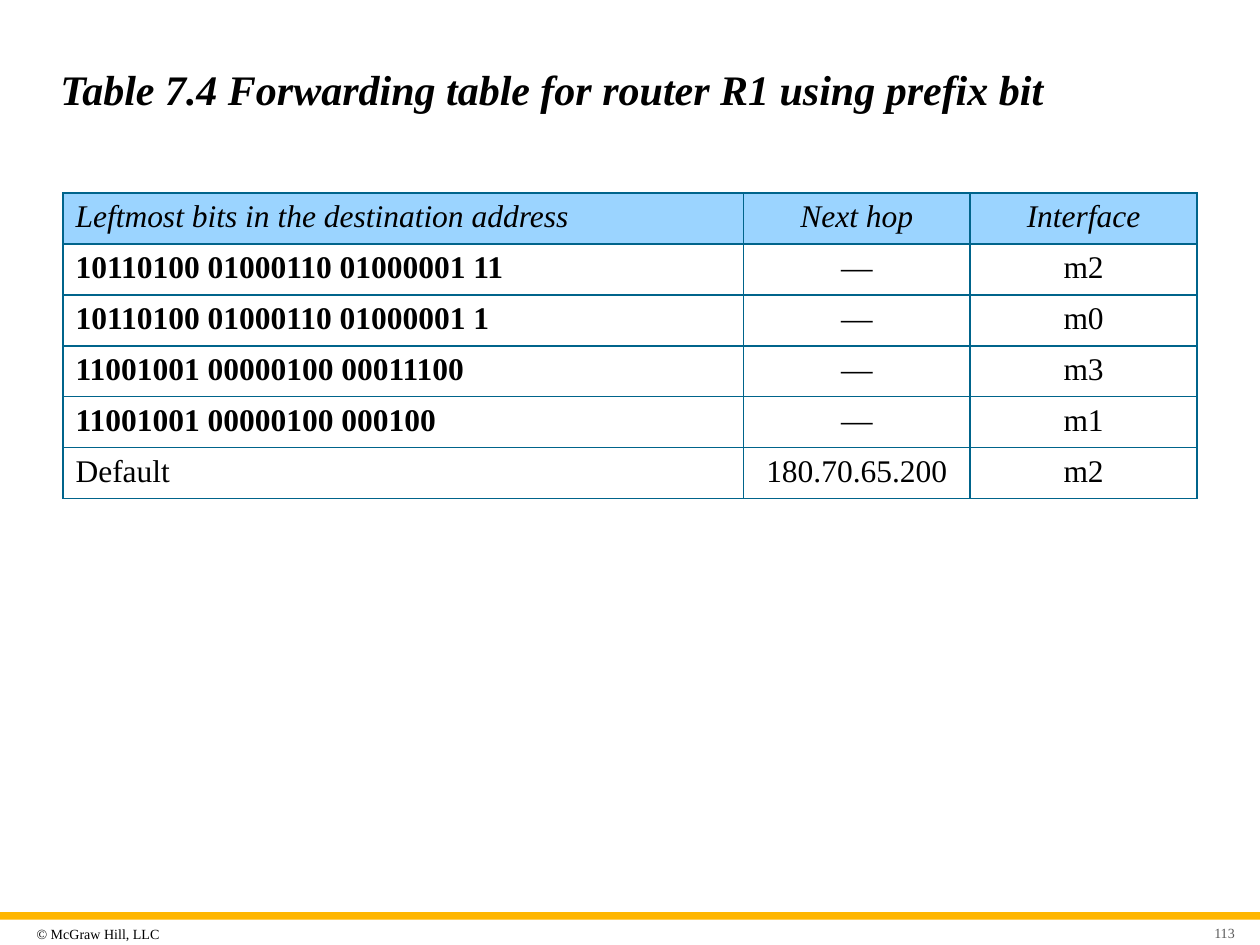
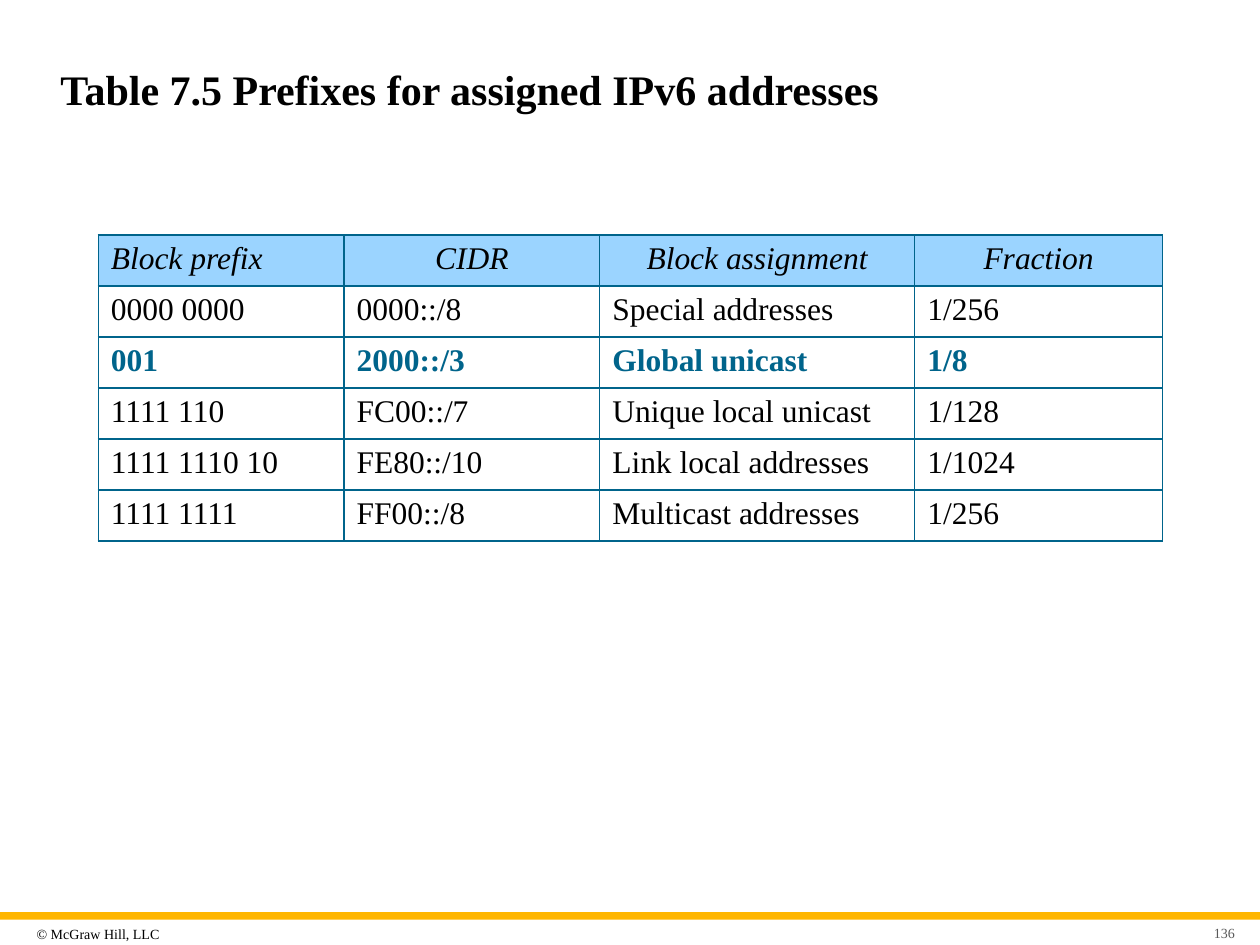
from lxml import etree
from pptx import Presentation
from pptx.dml.color import RGBColor
from pptx.enum.shapes import MSO_SHAPE as Shape
from pptx.enum.text import MSO_ANCHOR as Anchor, MSO_AUTO_SIZE as AutoSize, PP_ALIGN as Align
from pptx.oxml.ns import qn
from pptx.util import Pt

COLORS = {"text": "000000", "number": "595959", "accent": "00648B",
          "band": "FFB600", "header": "9BD4FF", "body": "FFFFFF"}
FONT = "Times New Roman"
TITLE_ONLY = 5
ROW_HEIGHT = 29.16

# Boxes are left, top, width, height in points
TITLE_BOX = (27.36, 23.76, 666, 53.28)
FOOTER_BOX = (0, 521.28, 720, 18.72)

FORWARDING = {
    "title": "Table 7.4 Forwarding table for router R1 using prefix bit",
    "title_italic": True,
    "number": "113",
    "origin": (36, 110.16),
    "widths": (388.8, 129.6, 129.6),
    "rows": [
        ("Leftmost bits in the destination address", "Next hop", "Interface"),
        ("10110100 01000110 01000001 11", "—", "m2"),
        ("10110100 01000110 01000001 1", "—", "m0"),
        ("11001001 00000100 00011100", "—", "m3"),
        ("11001001 00000100 000100", "—", "m1"),
        ("Default", "180.70.65.200", "m2"),
    ],
    "centered_body": True,
    "bold_cells": {(row, 0) for row in range(1, 5)},
    "accent_row": None,
}
PREFIXES = {
    "title": "Table 7.5 Prefixes for assigned IPv6 addresses",
    "title_italic": False,
    "number": "136",
    "origin": (56.16, 134.4),
    "widths": (140.4, 146.16, 180, 141.6),
    "rows": [
        ("Block prefix", "CIDR", "Block assignment", "Fraction"),
        ("0000 0000", "0000::/8", "Special addresses", "1/256"),
        ("001", "2000::/3", "Global unicast", "1/8"),
        ("1111 110", "FC00::/7", "Unique local unicast", "1/128"),
        ("1111 1110 10", "FE80::/10", "Link local addresses", "1/1024"),
        ("1111 1111", "FF00::/8", "Multicast addresses", "1/256"),
    ],
    "centered_body": False,
    "bold_cells": {(2, column) for column in range(4)},
    "accent_row": 2,
}


def write_text(frame, text, color="text", align=Align.LEFT, **font_values):
    """Fill a text frame with one formatted paragraph."""
    paragraph = frame.paragraphs[0]
    paragraph.text = text
    paragraph.alignment = align
    font = paragraph.runs[0].font
    font.color.rgb = RGBColor.from_string(COLORS[color])
    for name, value in {"name": FONT, **font_values}.items():
        setattr(font, name, value)


def set_frame(frame, **values):
    for name, value in values.items():
        setattr(frame, name, value)


def add_title(slide, box, text, italic):
    title = slide.shapes.title
    title.left, title.top, title.width, title.height = map(Pt, box)
    set_frame(title.text_frame, vertical_anchor=Anchor.MIDDLE,
              auto_size=AutoSize.NONE, word_wrap=True)
    write_text(title.text_frame, text, size=Pt(24), bold=True, italic=italic)


def add_footer(slide, box, number):
    left, top, width, _ = box
    # Gold band
    band = slide.shapes.add_shape(Shape.RECTANGLE, Pt(left), Pt(top), Pt(width), Pt(4.32))
    band.shadow.inherit = False
    band.fill.solid()
    band.fill.fore_color.rgb = RGBColor.from_string(COLORS["band"])
    band.line.fill.background()
    # Copyright line and slide number
    labels = [
        ("© McGraw Hill, LLC", "text", Align.LEFT, 17.28, 3.6, 97.2, 17.28, 3.6),
        (number, "number", Align.RIGHT, width - 38.88, 5.04, 28.08, 12.96, 7.2),
    ]
    for text, color, align, x, y, label_width, height, inset in labels:
        label = slide.shapes.add_textbox(Pt(left + x), Pt(top + y), Pt(label_width), Pt(height))
        set_frame(label.text_frame, word_wrap=True, vertical_anchor=Anchor.MIDDLE,
                  margin_left=Pt(inset), margin_right=Pt(3.6),
                  margin_top=Pt(3.6), margin_bottom=Pt(3.6))
        write_text(label.text_frame, text, color, align, size=Pt(8))


def add_borders(cell):
    """Draw a line on each side; borders must precede the fill."""
    properties = cell._tc.get_or_add_tcPr()
    for index, side in enumerate(("lnL", "lnR", "lnT", "lnB")):
        line = etree.Element(qn(f"a:{side}"), w=str(Pt(1)))
        fill = etree.SubElement(line, qn("a:solidFill"))
        etree.SubElement(fill, qn("a:srgbClr"), val=COLORS["accent"])
        properties.insert(index, line)


def add_grid(slide, content):
    rows, widths = content["rows"], content["widths"]
    box = (*content["origin"], sum(widths), ROW_HEIGHT * len(rows))
    table = slide.shapes.add_table(len(rows), len(widths), *map(Pt, box)).table
    for column, width in zip(table.columns, widths):
        column.width = Pt(width)
    for row_index, row in enumerate(rows):
        table.rows[row_index].height = Pt(ROW_HEIGHT)
        is_header = row_index == 0
        color = "accent" if row_index == content["accent_row"] else "text"
        for column_index, text in enumerate(row):
            cell = table.cell(row_index, column_index)
            cell.fill.solid()
            cell.fill.fore_color.rgb = RGBColor.from_string(
                COLORS["header" if is_header else "body"])
            add_borders(cell)
            centered = column_index > 0 and (is_header or content["centered_body"])
            write_text(cell.text_frame, text, color,
                       Align.CENTER if centered else Align.LEFT,
                       size=Pt(18), italic=is_header,
                       bold=(row_index, column_index) in content["bold_cells"])


def add_table_slide(presentation, content):
    slide = presentation.slides.add_slide(presentation.slide_layouts[TITLE_ONLY])
    add_footer(slide, FOOTER_BOX, content["number"])
    add_title(slide, TITLE_BOX, content["title"], content["title_italic"])
    add_grid(slide, content)


def main():
    presentation = Presentation()
    presentation.slide_width, presentation.slide_height = Pt(720), Pt(540)
    for content in (FORWARDING, PREFIXES):
        add_table_slide(presentation, content)
    presentation.save("out.pptx")


if __name__ == "__main__":
    main()
